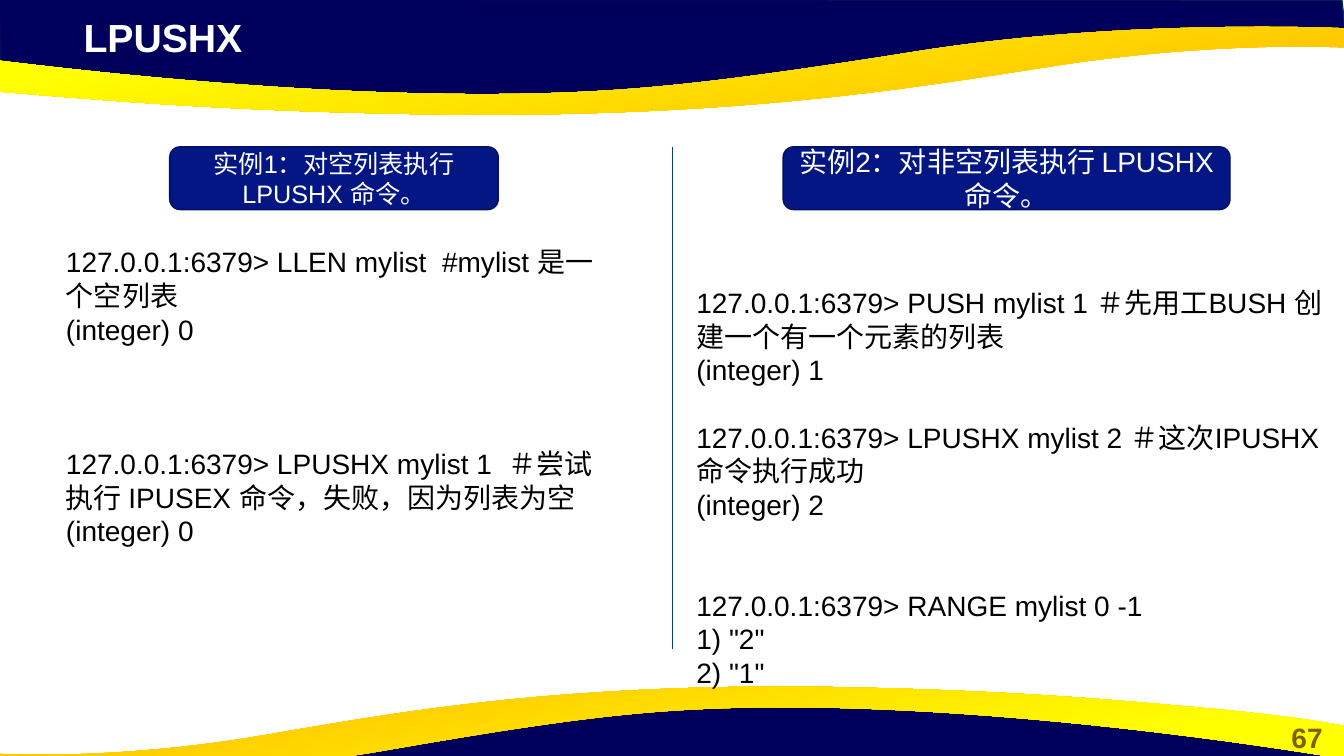
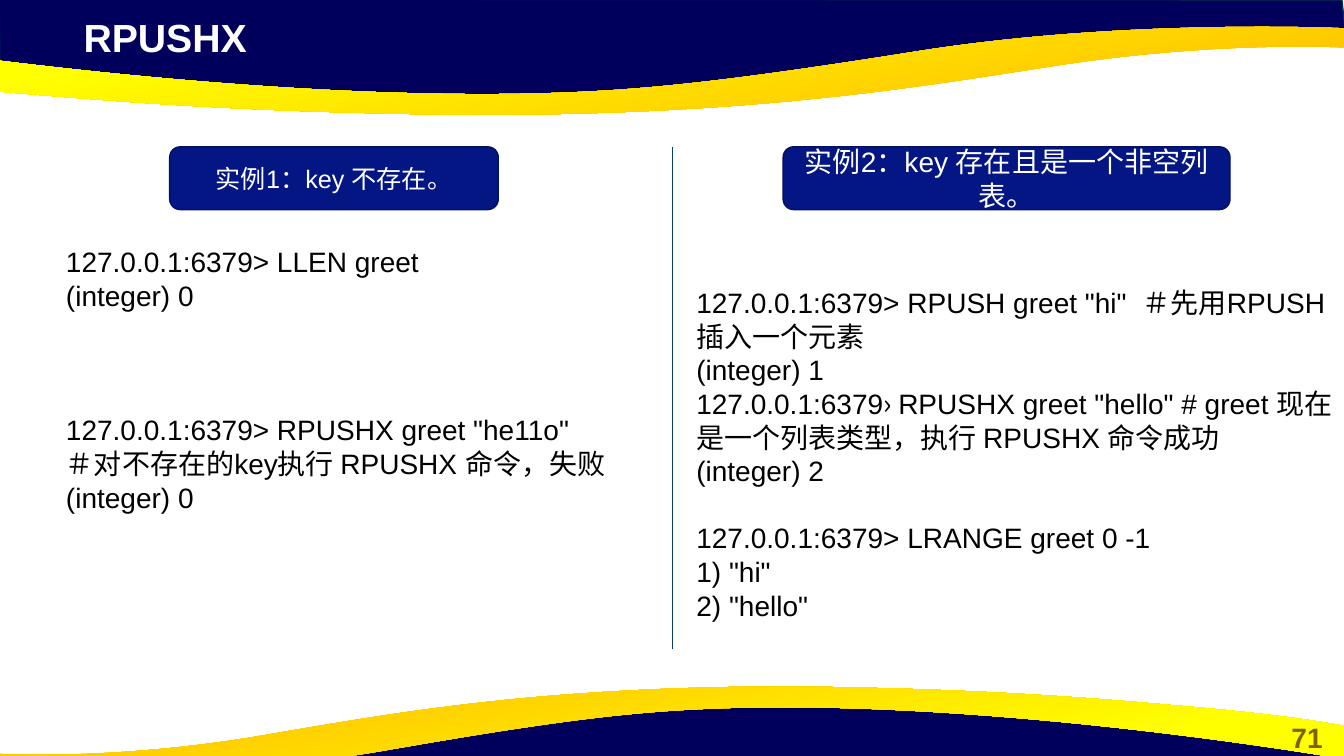
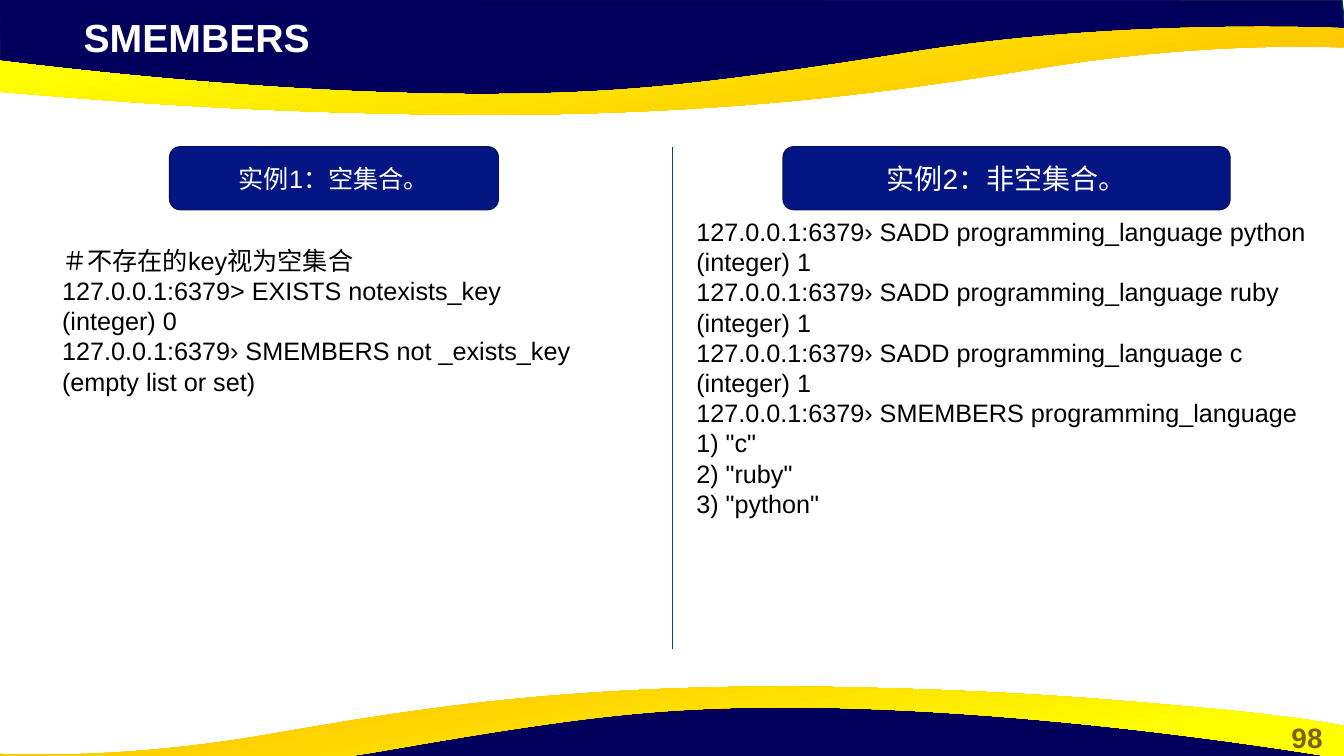
"""Build three slides that compare list and set commands in two examples each."""
from pptx import Presentation
from pptx import util as u
from pptx.dml.color import RGBColor
from pptx.enum import shapes, text
from pptx.oxml.ns import qn
from lxml import etree

W, H = u.Inches(40 / 3), u.Inches(7.5)
FONT = "Arial"
NAVY = RGBColor(0x00, 0x00, 0x5C)
NAVY_EDGE = RGBColor(0x05, 0x30, 0x4F)
GOLD = RGBColor(0xFF, 0xC0, 0x00)
YELLOW = RGBColor(0xFF, 0xFF, 0x00)
PILL = RGBColor(0x03, 0x16, 0x84)
PILL_EDGE = RGBColor(0x02, 0x10, 0x62)
RULE = RGBColor(0x07, 0x41, 0x6B)
NUMBER = RGBColor(0x80, 0x60, 0x00)
WHITE = RGBColor(0xFF, 0xFF, 0xFF)
BLACK = RGBColor(0x00, 0x00, 0x00)
LEADING = 1.2

NAVY_BAND = [
    [(-0.07, -0.13)], [(0, 9.33)], [(21.98, 13.6)], [(41.93, 13.33)], [(59.64, 11.73)],
    [(76.22, 6.67)], [(92.87, 4.4)], [(100.15, 5.07)], [(99.85, 0)],
]
GOLD_BAND = [
    [(36.23, 15.2)],
    [(33.23, 15.2), (30.08, 15.07), (26.71, 14.93)],
    [(15.45, 14.4), (8.25, 13.33), (2.7, 12.53)],
    [(-6.6, 11.2), (-9.75, 10), (-9.98, 10)],
    [(-9.98, 5.6)],
    [(-9.98, 5.6), (16.33, 13.07), (38.78, 12.4)],
    [(46.96, 12.13), (53.11, 11.07), (68.64, 6.67)],
    [(84.1, 2.4), (100, 3.73), (100, 3.73)],
    [(100, 4.27)],
    [(100, 6.27)],
    [(99.77, 6.27)],
    [(97.9, 6.13), (89.65, 5.73), (79.14, 8.53)],
    [(68.87, 11.33), (57.16, 15.07), (36.23, 15.2)],
]


def px(share):
    """Turn a percentage of the slide width into a length."""
    return u.Emu(round(W * share / 100))


def py(share):
    """Turn a percentage of the slide height into a length."""
    return u.Emu(round(H * share / 100))


def turn(band, right, bottom, scale=1):
    """Turn a band by half for the foot of the slide."""
    return [[(right - x * scale, bottom - y) for x, y in seg] for seg in band]


def add_outline(s, band):
    """Add a closed freeform from points and cubic curves in percent."""
    segs = [[(px(x), py(y)) for x, y in seg] for seg in band]
    builder = s.shapes.build_freeform(*segs[0][0])
    builder.add_line_segments([seg[-1] for seg in segs[1:]], close=True)
    sp = builder.convert_to_shape()
    sp.shadow.inherit = False
    for line, seg in zip(list(sp._element.iter(qn("a:lnTo"))), segs[1:]):
        if len(seg) == 3:
            line.tag = qn("a:cubicBezTo")
            for i, (x, y) in enumerate(seg[:2]):
                pt = etree.Element(qn("a:pt"), x=str(x - sp.left), y=str(y - sp.top))
                line.insert(i, pt)
    return sp


def add_navy(s, band):
    """Add a navy band."""
    sp = add_outline(s, band)
    sp.fill.solid()
    sp.fill.fore_color.rgb = NAVY
    sp.line.color.rgb = NAVY_EDGE
    sp.line.width = u.Pt(1)


def add_gold(s, band, angle):
    """Add a band that runs from gold to yellow."""
    sp = add_outline(s, band)
    sp.fill.gradient()
    sp.fill.gradient_angle = angle
    for stop, color, position in zip(sp.fill.gradient_stops, (GOLD, YELLOW), (0.11, 0.78)):
        stop.color.rgb = color
        stop.position = position
    sp.line.fill.background()


def write(p, words, size, color, bold=False):
    """Fill a paragraph with one formatted run."""
    p.text = words
    font = p.runs[0].font
    font.name, font.size, font.bold = FONT, u.Pt(size), bold
    font.color.rgb = color


def add_box(s, x, y, w, h):
    """Add an empty wrapping text box and return its text frame."""
    tf = s.shapes.add_textbox(px(x), py(y), px(w), py(h)).text_frame
    tf.word_wrap = True
    tf.auto_size = text.MSO_AUTO_SIZE.SHAPE_TO_FIT_TEXT
    return tf


def add_frame(s, title, number):
    """Add the bands, title, page number and divider of every slide."""
    add_navy(s, NAVY_BAND)
    add_gold(s, GOLD_BAND, 100)
    add_navy(s, turn(NAVY_BAND, 99.92, 105.73))
    add_gold(s, turn(GOLD_BAND, 90.92, 106, 0.91), 280)
    p = add_box(s, 94.5, 94.6, 5.5, 5.87).paragraphs[0]
    write(p, str(number), 20, NUMBER, True)
    p.alignment = text.PP_ALIGN.CENTER
    write(add_box(s, 5.48, 1.1, 57.6, 7.6).paragraphs[0], title, 28, WHITE, True)
    rule = s.shapes.add_connector(shapes.MSO_CONNECTOR.STRAIGHT,
                                  px(50), py(19.47), px(50), py(85.87))
    rule.line.color.rgb = RULE
    rule.line.width = u.Pt(0.5)
    etree.SubElement(rule._element.spPr, qn("a:effectLst"))


def add_pill(s, x, w, words, size):
    """Add a rounded heading above an example."""
    sp = s.shapes.add_shape(shapes.MSO_SHAPE.ROUNDED_RECTANGLE, px(x), py(19.42), px(w), py(8.3))
    sp.shadow.inherit = False
    sp.fill.solid()
    sp.fill.fore_color.rgb = PILL
    sp.line.color.rgb = PILL_EDGE
    sp.line.width = u.Pt(1)
    tf = sp.text_frame
    tf.word_wrap = True
    tf.vertical_anchor = text.MSO_ANCHOR.MIDDLE
    write(tf.paragraphs[0], words, size, WHITE)
    tf.paragraphs[0].alignment = text.PP_ALIGN.CENTER


def add_session(s, x, y, w, h, size, groups):
    """Add console lines; each group opens after a gap counted in lines."""
    tf = add_box(s, x, y, w, h)
    p = tf.paragraphs[0]
    for gap, lines in groups:
        for i, line in enumerate(lines):
            if p is None:
                p = tf.add_paragraph()
            write(p, line, size, BLACK)
            if gap and i == 0:
                p.space_before = u.Pt(gap * size * LEADING)
            p = None


def add_slide(prs, number, title, headings, sessions):
    """Add one slide with two examples side by side."""
    s = prs.slides.add_slide(prs.slide_layouts[6])
    add_frame(s, title, number)
    add_pill(s, 12.63, 24.45, headings[0], 18)
    add_pill(s, 58.27, 33.25, headings[1], 20)
    for session in sessions:
        add_session(s, *session)


def main():
    """Build and save the presentation."""
    prs = Presentation()
    prs.slide_width, prs.slide_height = W, H
    add_slide(prs, 67, "LPUSHX", ("实例1：对空列表执行 LPUSHX 命令。", "实例2：对非空列表执行 LPUSHX 命令。"), [
        (4.17, 31.73, 41.95, 41.73, 20, [
            (0, ["127.0.0.1:6379> LLEN mylist  #mylist 是一个空列表", "(integer) 0"]),
            (3, ["127.0.0.1:6379> LPUSHX mylist 1  ＃尝试执行 IPUSEX 命令，失败，因为列表为空",
                 "(integer) 0"])]),
        (51.07, 37.12, 49.9, 55.2, 20, [
            (0, ["127.0.0.1:6379> PUSH mylist 1 ＃先用工BUSH 创建一个有一个元素的列表", "(integer) 1"]),
            (1, ["127.0.0.1:6379> LPUSHX mylist 2 ＃这次IPUSHX 命令执行成功", "(integer) 2"]),
            (2, ["127.0.0.1:6379> RANGE mylist 0 -1", '1) "2"', '2) "1"'])])])
    add_slide(prs, 71, "RPUSHX", ("实例1：key 不存在。", "实例2：key 存在且是一个非空列表。"), [
        (4.17, 31.73, 41.95, 37.2, 20, [
            (0, ["127.0.0.1:6379> LLEN greet", "(integer) 0"]),
            (3, ['127.0.0.1:6379> RPUSHX greet "he11o"  ＃对不存在的key执行 RPUSHX 命令，失败',
                 "(integer) 0"])]),
        (51.07, 37.12, 49.9, 46.27, 20, [
            (0, ['127.0.0.1:6379> RPUSH greet "hi"  ＃先用RPUSH 插入一个元素', "(integer) 1",
                 '127.0.0.1:6379› RPUSHX greet "hello" # greet 现在是一个列表类型，执行 RPUSHX 命令成功',
                 "(integer) 2"]),
            (1, ["127.0.0.1:6379> LRANGE greet 0 -1", '1) "hi"', '2) "hello"'])])])
    added = [line for name in ("python", "ruby", "c")
             for line in (f"127.0.0.1:6379› SADD programming_language {name}", "(integer) 1")]
    add_slide(prs, 98, "SMEMBERS", ("实例1：空集合。", "实例2：非空集合。"), [
        (3.88, 31.75, 41.95, 21.47, 18, [
            (0, ["＃不存在的key视为空集合", "127.0.0.1:6379> EXISTS notexists_key", "(integer) 0",
                 "127.0.0.1:6379› SMEMBERS not _exists_key", "(empty list or set)"])]),
        (51.07, 27.93, 49.9, 41.73, 18, [
            (0, added + ["127.0.0.1:6379› SMEMBERS programming_language",
                         '1) "c"', '2) "ruby"', '3) "python"'])])])
    prs.save("out.pptx")


if __name__ == "__main__":
    main()
